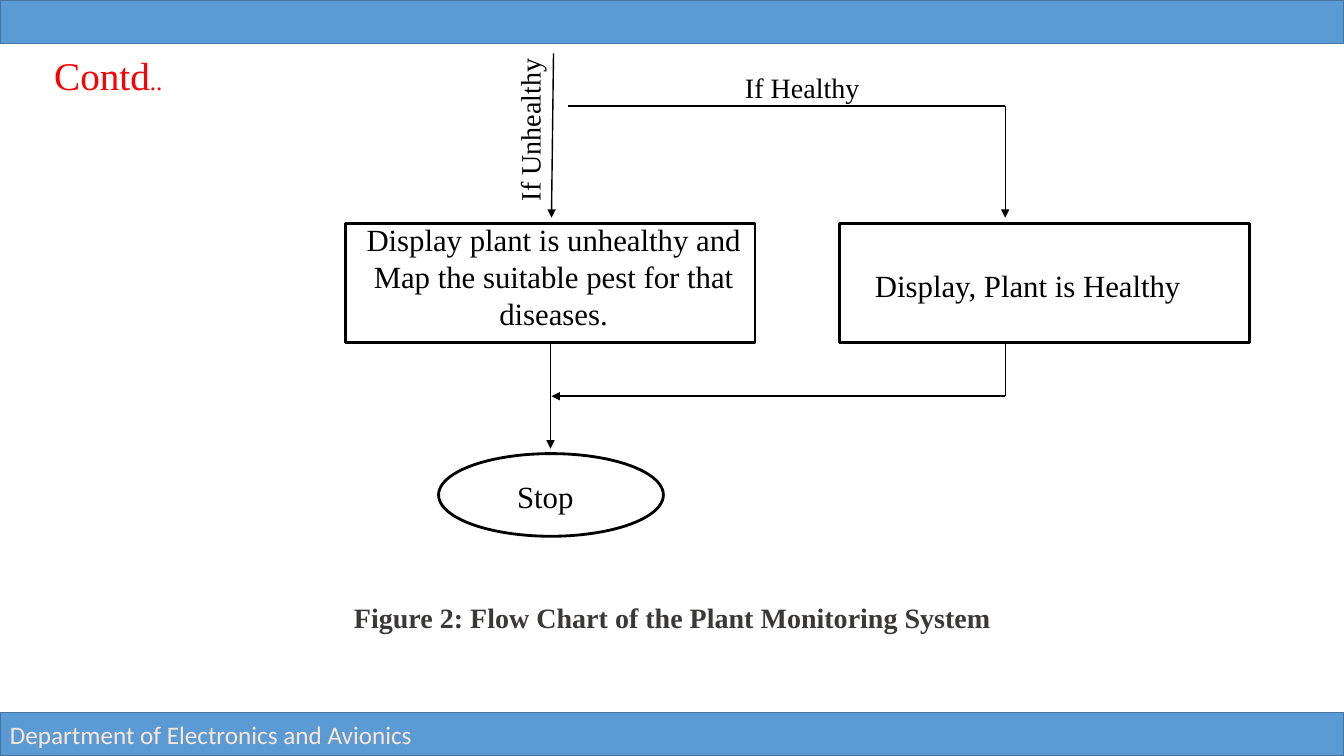
from lxml.etree import SubElement
from pptx import Presentation
from pptx.dml.color import RGBColor
from pptx.enum.shapes import MSO_CONNECTOR, MSO_SHAPE
from pptx.enum.text import MSO_ANCHOR, MSO_AUTO_SIZE, PP_ALIGN
from pptx.oxml.ns import qn
from pptx.util import Inches, Pt

BLACK = RGBColor(0x00, 0x00, 0x00)
WHITE = RGBColor(0xFF, 0xFF, 0xFF)
RED = RGBColor(0xFF, 0x00, 0x00)
BLUE = RGBColor(0x5B, 0x9B, 0xD5)
DARK_BLUE = RGBColor(0x43, 0x73, 0x9E)
CREAM = RGBColor(0xFB, 0xE5, 0xD6)
CHARCOAL = RGBColor(0x3B, 0x38, 0x38)
SERIF = "Times New Roman"

WIDTH, HEIGHT = 13.33, 7.5
BAR_HEIGHT = 0.43
NODE_WIDTH, NODE_HEIGHT, NODE_TOP = 4.06, 1.18, 2.22
UNHEALTHY_LEFT, HEALTHY_LEFT = 3.43, 8.33
MAIN_X, HEALTHY_X = 5.46, 9.97


def add_run(paragraph, text, size, color, font=SERIF, bold=False):
    run = paragraph.add_run()
    run.text = text
    run.font.name = font
    run.font.size = Pt(size)
    run.font.bold = bold
    run.font.color.rgb = color


def add_text(slide, box, runs, size, align=PP_ALIGN.LEFT, wrap=True):
    """Add a text box; runs are (text, size, color, ...) or one string."""
    shape = slide.shapes.add_textbox(*map(Inches, box))
    frame = shape.text_frame
    frame.word_wrap = wrap
    frame.auto_size = MSO_AUTO_SIZE.SHAPE_TO_FIT_TEXT
    paragraph = frame.paragraphs[0]
    paragraph.alignment = align
    if isinstance(runs, str):
        runs = [(runs, size, BLACK)]
    for run in runs:
        add_run(paragraph, *run)
    return shape


def add_outline(slide, kind, box, fill, line, weight):
    shape = slide.shapes.add_shape(kind, *map(Inches, box))
    shape.shadow.inherit = False
    shape.fill.solid()
    shape.fill.fore_color.rgb = fill
    shape.line.color.rgb = line
    shape.line.width = Pt(weight)
    return shape


def add_line(slide, start, end, arrow=False):
    connector = slide.shapes.add_connector(
        MSO_CONNECTOR.STRAIGHT, *map(Inches, start + end))
    connector.line.color.rgb = BLACK
    connector.line.width = Pt(1)
    if arrow:
        SubElement(connector.line._get_or_add_ln(), qn("a:tailEnd"), type="triangle")
    SubElement(connector._element.spPr, qn("a:effectLst"))


def add_bar(slide, top, text=""):
    bar = add_outline(slide, MSO_SHAPE.RECTANGLE, (0, top, WIDTH, BAR_HEIGHT),
                      BLUE, DARK_BLUE, 1)
    if text:
        frame = bar.text_frame
        frame.vertical_anchor = MSO_ANCHOR.MIDDLE
        frame.paragraphs[0].alignment = PP_ALIGN.LEFT
        add_run(frame.paragraphs[0], text, 18, CREAM, "Calibri")


def add_node(slide, kind, box, text, text_box, align=PP_ALIGN.LEFT):
    """Draw a flow chart node; text_box is offset from the node's corner."""
    left, top = box[:2]
    dx, dy, width, height = text_box
    add_outline(slide, kind, box, WHITE, BLACK, 2)
    add_text(slide, (left + dx, top + dy, width, height), text, 22, align)


def add_flow_chart(slide):
    node_bottom = NODE_TOP + NODE_HEIGHT
    branch_y, merge_y, arrow_y = 1.05, 3.93, 2.16

    # Nodes
    add_node(slide, MSO_SHAPE.RECTANGLE,
             (UNHEALTHY_LEFT, NODE_TOP, NODE_WIDTH, NODE_HEIGHT),
             "Display plant is unhealthy and Map the suitable pest for that diseases.",
             (0.06, -0.08, 4, 1.21), PP_ALIGN.CENTER)
    add_node(slide, MSO_SHAPE.RECTANGLE,
             (HEALTHY_LEFT, NODE_TOP, NODE_WIDTH, NODE_HEIGHT),
             "Display, Plant is Healthy", (0.25, 0.38, 3.57, 0.47))
    add_node(slide, MSO_SHAPE.OVAL, (4.35, 4.5, 2.23, 0.82),
             "Stop", (0.68, 0.19, 1.42, 0.47))

    # Unhealthy branch, down to the end
    add_line(slide, (5.49, 0.53), (5.47, arrow_y), arrow=True)
    add_line(slide, (MAIN_X, node_bottom), (MAIN_X, 4.45), arrow=True)

    # Healthy branch, out and back
    add_line(slide, (5.63, branch_y), (HEALTHY_X, branch_y))
    add_line(slide, (HEALTHY_X, branch_y), (HEALTHY_X, arrow_y), arrow=True)
    add_line(slide, (HEALTHY_X, node_bottom), (HEALTHY_X, merge_y))
    add_line(slide, (HEALTHY_X, merge_y), (5.47, merge_y), arrow=True)

    # Branch labels
    label = add_text(slide, (4.21, 0.83, 2.09, 0.44), "If Unhealthy", 20)
    label.rotation = 270
    add_text(slide, (7.29, 0.65, 2.09, 0.44), "If Healthy", 20)


def add_caption(slide, box, text):
    caption = add_text(slide, box, [(text, 20, CHARCOAL, SERIF, True)], 20,
                       PP_ALIGN.CENTER)
    frame = caption.text_frame
    frame.auto_size = MSO_AUTO_SIZE.NONE
    frame.vertical_anchor = MSO_ANCHOR.MIDDLE
    frame.paragraphs[0].line_spacing = 0.9


def main():
    presentation = Presentation()
    presentation.slide_width = Inches(WIDTH)
    presentation.slide_height = Inches(HEIGHT)
    slide = presentation.slides.add_slide(presentation.slide_layouts[6])

    add_text(slide, (0.43, 0.46, 1.29, 0.57),
             [("Contd", 28, RED), ("..", 18, RED)], 28, PP_ALIGN.CENTER, wrap=False)
    add_bar(slide, HEIGHT - BAR_HEIGHT, "Department of Electronics and Avionics")
    add_bar(slide, 0)
    add_flow_chart(slide)
    add_caption(slide, (1.86, 5.71, 9.62, 0.87),
                "Figure 2: Flow Chart of the Plant Monitoring System")

    presentation.save("out.pptx")


if __name__ == "__main__":
    main()
